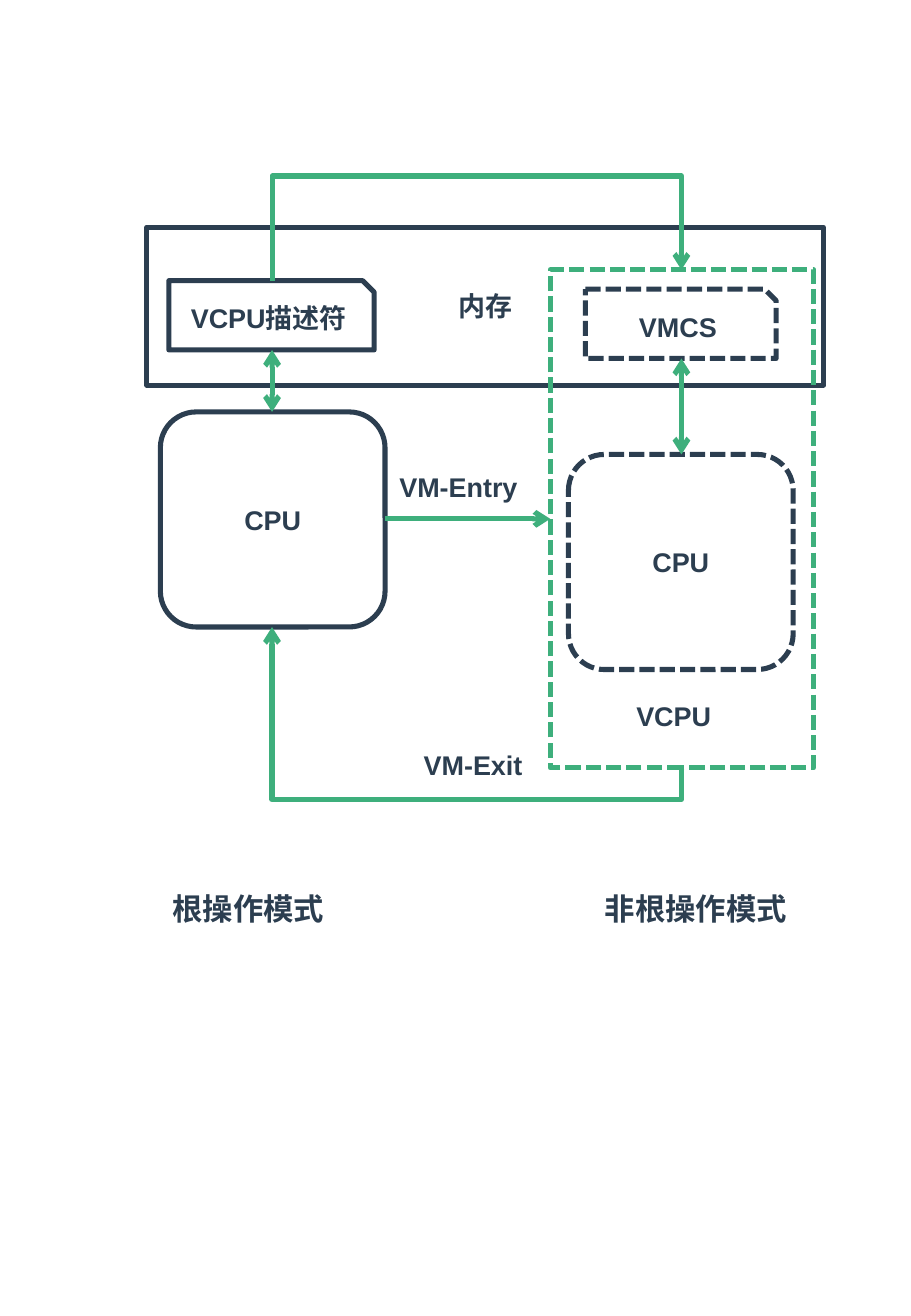
from lxml import etree
from pptx import Presentation
from pptx.dml.color import RGBColor
from pptx.enum.dml import MSO_LINE
from pptx.enum.shapes import MSO_CONNECTOR as Link, MSO_SHAPE as Preset
from pptx.enum.text import MSO_ANCHOR, MSO_AUTO_SIZE, PP_ALIGN
from pptx.oxml.ns import qn
from pptx.util import Inches, Pt

# Content
COLORS = {"ink": "2C3E50", "green": "3EAF7C"}
LINE_WIDTH = 3
ROOT_X, GUEST_X = 2.24, 5.61  # centre lines of the two modes
ENTRY_Y = 4.27

# preset, text, (left, top, width, height), color, dashed
BOXES = [
    (Preset.ROUNDED_RECTANGLE, "CPU", (1.32, 3.39, 1.85, 1.77), "ink", False),
    (Preset.SNIP_1_RECTANGLE, "VMCS", (4.82, 2.38, 1.57, 0.57), "ink", True),
    (Preset.ROUNDED_RECTANGLE, "CPU", (4.68, 3.74, 1.85, 1.77), "ink", True),
    (Preset.RECTANGLE, "内存", (1.21, 1.87, 5.57, 1.3), "ink", False),
    (Preset.SNIP_1_RECTANGLE, "VCPU描述符", (1.39, 2.31, 1.69, 0.57), "ink", False),
    (Preset.RECTANGLE, "", (4.53, 2.22, 2.17, 4.1), "green", True),
]
# text, (left, top, width, height), size
LABELS = [
    ("VCPU", (5.14, 5.71, 0.88, 0.37), 16),
    ("VM-Entry", (3.19, 3.82, 1.36, 0.37), 16),
    ("VM-Exit", (3.39, 6.11, 1.16, 0.37), 16),
    ("根操作模式", (1.32, 7.28, 1.45, 0.4), 18),
    ("非根操作模式", (4.88, 7.28, 1.7, 0.4), 18),
]
# start, end, arrowheads
STRAIGHT_ARROWS = [
    ((3.17, ENTRY_Y), (4.53, ENTRY_Y), ["tailEnd"]),
    ((GUEST_X, 2.95), (GUEST_X, 3.74), ["headEnd", "tailEnd"]),
    ((ROOT_X, 2.88), (ROOT_X, 3.39), ["headEnd", "tailEnd"]),
]
# start, end, height of the horizontal run
BENT_ARROWS = [
    ((ROOT_X, 2.31), (GUEST_X, 2.22), 1.45),
    ((GUEST_X, 6.32), (ROOT_X, 5.16), 6.58),
]


def color(name):
    return RGBColor.from_string(COLORS[name])


def set_line(shape, name, dashed=False):
    shape.line.color.rgb = color(name)
    shape.line.width = Pt(LINE_WIDTH)
    if dashed:
        shape.line.dash_style = MSO_LINE.SQUARE_DOT


def write(shape, text, size, alignment=None):
    paragraph = shape.text_frame.paragraphs[0]
    paragraph.alignment = alignment
    run = paragraph.add_run()
    run.text = text
    text_format = {"name": "Arial", "size": Pt(size), "bold": True}
    for attribute, value in text_format.items():
        setattr(run.font, attribute, value)
    run.font.color.rgb = color("ink")


def add_arrow(slide, kind, start, end, heads):
    points = [Inches(value) for value in (*start, *end)]
    connector = slide.shapes.add_connector(kind, *points)
    set_line(connector, "green")
    line = connector.line._get_or_add_ln()
    for head in heads:
        etree.SubElement(line, qn("a:" + head), type="arrow")
    etree.SubElement(connector._element.spPr, qn("a:effectLst"))
    return connector


def add_bent_arrow(slide, start, end, lane):
    """Leave start vertically, run across at lane, then reach end vertically."""
    (x1, y1), (x2, y2) = start, end
    rise, run = y1 - y2, abs(x2 - x1)
    middle_x, middle_y = (x1 + x2) / 2, (y1 + y2) / 2
    left, right = middle_x - rise / 2, middle_x + rise / 2
    top, bottom = middle_y - run / 2, middle_y + run / 2
    rightward = x2 > x1
    if not rightward:
        left, right = right, left
    connector = add_arrow(slide, Link.ELBOW, (left, top), (right, bottom), ["tailEnd"])
    properties = connector._element.spPr
    turn = 270 if rightward else 90
    properties.find(qn("a:xfrm")).set("rot", str(turn * 60000))
    adjustments = properties.find(qn("a:prstGeom")).find(qn("a:avLst"))
    share = round((y1 - lane) / rise * 100000)
    etree.SubElement(adjustments, qn("a:gd"), name="adj1", fmla=f"val {share}")


def main():
    presentation = Presentation()
    presentation.slide_width = Inches(7.5)
    presentation.slide_height = Inches(10.83)
    slide = presentation.slides.add_slide(presentation.slide_layouts[6])

    # Memory, processors and descriptors
    for preset, text, place, name, dashed in BOXES:
        shape = slide.shapes.add_shape(preset, *map(Inches, place))
        shape.shadow.inherit = False
        shape.fill.background()
        set_line(shape, name, dashed)
        if text:
            shape.text_frame.vertical_anchor = MSO_ANCHOR.MIDDLE
            write(shape, text, 16, PP_ALIGN.CENTER)

    # Transitions
    for start, end, heads in STRAIGHT_ARROWS:
        add_arrow(slide, Link.STRAIGHT, start, end, heads)
    for start, end, lane in BENT_ARROWS:
        add_bent_arrow(slide, start, end, lane)

    # Labels
    for text, place, size in LABELS:
        label = slide.shapes.add_textbox(*map(Inches, place))
        label.text_frame.word_wrap = False
        label.text_frame.auto_size = MSO_AUTO_SIZE.SHAPE_TO_FIT_TEXT
        write(label, text, size)

    presentation.save("out.pptx")


if __name__ == "__main__":
    main()
